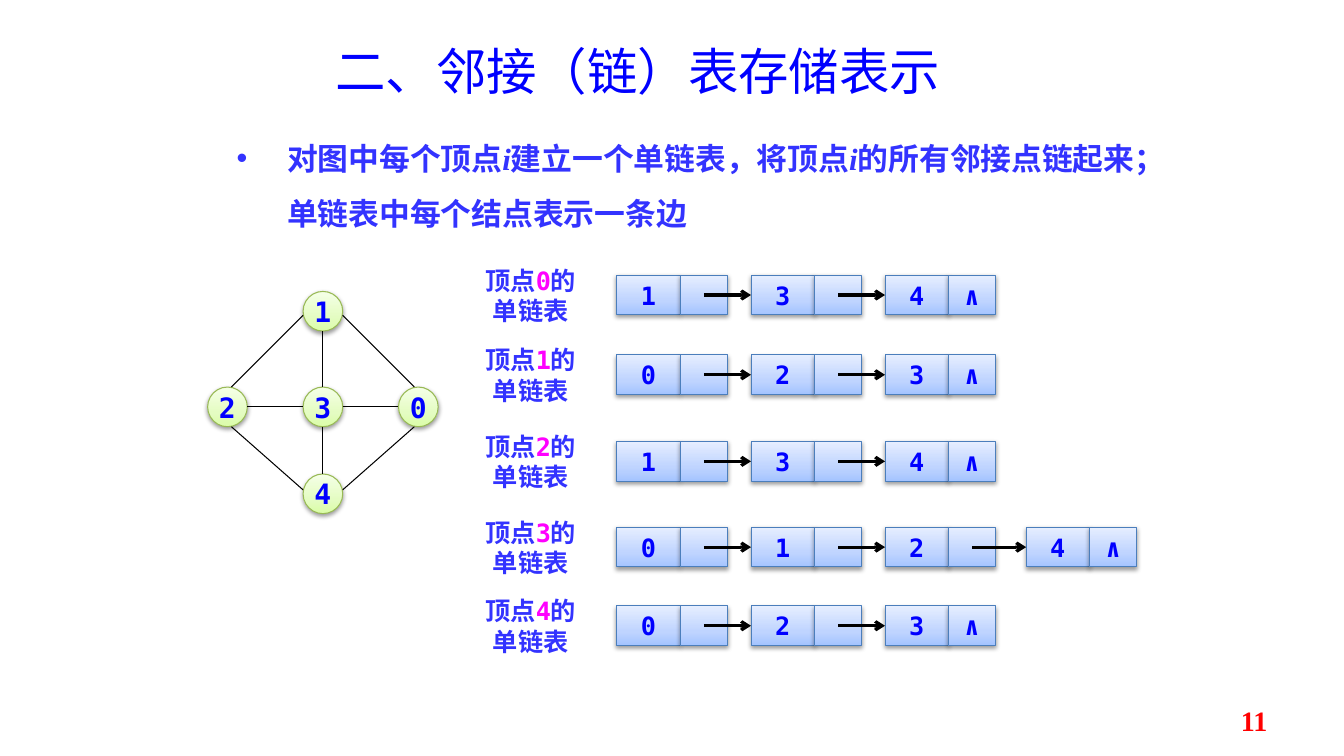
import dataclasses

import pptx
import pptx.dml.color
import pptx.enum.shapes
import pptx.enum.text
import pptx.oxml
import pptx.oxml.ns
import pptx.util
from lxml import etree

ALIGN = pptx.enum.text.PP_ALIGN
ANCHOR = pptx.enum.text.MSO_ANCHOR
AUTO_SIZE = pptx.enum.text.MSO_AUTO_SIZE
SHAPE = pptx.enum.shapes.MSO_SHAPE
qn = pptx.oxml.ns.qn


@dataclasses.dataclass(frozen=True)
class Theme:
    serif: str = "Times New Roman"
    mono: str = "DejaVu Sans Mono"
    blue: str = "0000FF"
    body: str = "3333FF"
    accent: str = "FF00FF"
    number: str = "FF0000"
    edge: str = "000000"
    green_stops: tuple = ((0, "DAFDA7"), (35, "E4FCC2"), (100, "F5FFE7"))
    green_line: str = "98B955"
    blue_stops: tuple = ((0, "A4C4FF"), (35, "BFD4FF"), (100, "E6EEFF"))
    blue_line: str = "4B7EBC"
    title_size: int = 36
    body_size: int = 22
    vertex_size: int = 20
    list_size: int = 18
    thin: float = 0.75
    thick: float = 2.25


THEME = Theme()
WIDTH, HEIGHT = pptx.util.Inches(13.33), pptx.util.Inches(7.5)

# All places and sizes are percentages of the slide's width and height.
DOT = (2.95, 5.25)
VERTICES = {
    "1": (22.55, 38.55),
    "2": (15.45, 51.2),
    "3": (22.55, 51.2),
    "0": (29.65, 51.2),
    "4": (22.55, 62.7),
}
# Each end is a vertex and a point within its dot, as shares of the dot's size.
EDGES = [
    ("1", (0, 0.6), "2", (0.6, 0)),
    ("1", (1, 0.6), "0", (0.4, 0)),
    ("1", (0.5, 1), "3", (0.5, 0)),
    ("2", (1, 0.5), "3", (0, 0.5)),
    ("3", (1, 0.5), "0", (0, 0.5)),
    ("3", (0.5, 1), "4", (0.5, 0)),
    ("2", (0.6, 1), "4", (0, 0.4)),
    ("0", (0.4, 1), "4", (1, 0.4)),
]
NODE_COLUMNS = (45.9, 55.88, 65.85, 76.35)
KEY_WIDTH, POINTER_WIDTH, CELL_HEIGHT = 4.7, 3.55, 5.25
LISTS = [("0", 36.4, "134"), ("1", 46.95, "023"), ("2", 58.4, "134"),
         ("3", 69.75, "0124"), ("4", 80.15, "023")]


def across(percent):
    return round(WIDTH * percent / 100)


def down(percent):
    return round(HEIGHT * percent / 100)


def frame(left, top, width, height):
    return across(left), down(top), across(width), down(height)


def color(value):
    return pptx.dml.color.RGBColor.from_string(value)


def add_span(para, text, size, tint, font, bold=True, italic=False):
    span = para.add_run()
    span.text = text
    span.font.size = pptx.util.Pt(size)
    span.font.name = font
    span.font.bold = bold
    span.font.italic = italic
    span.font.color.rgb = color(tint)


def add_text_box(shapes, place, align, anchor=ANCHOR.TOP):
    """Add a wrapping text box and return its first paragraph."""
    box = shapes.add_textbox(*frame(*place))
    box.text_frame.word_wrap = True
    box.text_frame.vertical_anchor = anchor
    para = box.text_frame.paragraphs[0]
    para.alignment = align
    return para


def add_shaded_shape(shapes, kind, place, stops, outline, text, size):
    """Add a shape with a gradient rising from its foot and a soft shadow."""
    shape = shapes.add_shape(kind, *frame(*place))
    shape.fill.gradient()
    shape.fill.gradient_angle = 90
    stop_list = shape.element.find(".//" + qn("a:gsLst"))
    stop_list.clear()
    for position, tint in stops:
        stop = etree.SubElement(stop_list, qn("a:gs"), pos=str(position * 1000))
        etree.SubElement(stop, qn("a:srgbClr"), val=tint)
    shape.line.color.rgb = color(outline)
    shape.line.width = pptx.util.Pt(THEME.thin)

    shape.shadow.inherit = False
    effects = shape.element.find(".//" + qn("a:effectLst"))
    shadow = etree.SubElement(effects, qn("a:outerShdw"), blurRad="40000",
                              dist="20000", dir="5400000", rotWithShape="0")
    tint = etree.SubElement(shadow, qn("a:srgbClr"), val=THEME.edge)
    etree.SubElement(tint, qn("a:alpha"), val="38000")

    if text:
        shape.text_frame.word_wrap = False
        shape.text_frame.vertical_anchor = ANCHOR.MIDDLE
        para = shape.text_frame.paragraphs[0]
        para.alignment = ALIGN.CENTER
        add_span(para, text, size, THEME.blue, THEME.mono)
    return shape


def add_line(shapes, start, end, width):
    line = shapes.add_connector(
        pptx.enum.shapes.MSO_CONNECTOR.STRAIGHT,
        across(start[0]), down(start[1]), across(end[0]), down(end[1]))
    line.line.color.rgb = color(THEME.edge)
    line.line.width = pptx.util.Pt(width)
    etree.SubElement(line.element.spPr, qn("a:effectLst"))
    return line


def add_title(page):
    title = page.shapes.title
    title.left, title.top, title.width, title.height = frame(16.35, 2.27, 62.2, 10.8)
    title.text_frame.vertical_anchor = ANCHOR.TOP
    title.text_frame.auto_size = AUTO_SIZE.SHAPE_TO_FIT_TEXT
    para = title.text_frame.paragraphs[0]
    para.alignment = ALIGN.CENTER
    para.line_spacing = 1.3
    add_span(para, "二、邻接（链）表存储表示", THEME.title_size, THEME.blue,
             THEME.serif, bold=False)


def add_explanation(page):
    para = add_text_box(page.shapes, (16.88, 15.33, 70.3, 15.2), ALIGN.LEFT)
    para.line_spacing = 1.5
    para.space_before = pptx.util.Pt(6)
    for text in ("对图中每个顶点", "i", "建立一个单链表，将顶点", "i",
                 "的所有邻接点链起来；单链表中每个结点表示一条边"):
        add_span(para, text, THEME.body_size, THEME.body, THEME.serif,
                 italic=text == "i")
    settings = para.runs[0].font and para.line_spacing and para._p.get_or_add_pPr()
    indent = pptx.util.Inches(0.5)
    settings.set("marL", str(indent))
    settings.set("indent", str(-indent))
    etree.SubElement(settings, qn("a:buFont"), typeface="Arial")
    etree.SubElement(settings, qn("a:buChar"), char="•")


def add_graph(page):
    shapes = page.shapes.add_group_shape().shapes
    for name, corner in VERTICES.items():
        add_shaded_shape(shapes, SHAPE.OVAL, corner + DOT, THEME.green_stops,
                         THEME.green_line, name, THEME.vertex_size)

    def point(name, share):
        return [corner + part * size
                for corner, part, size in zip(VERTICES[name], share, DOT)]

    for first, leave, second, reach in EDGES:
        add_line(shapes, point(first, leave), point(second, reach), THEME.thin)


def add_linked_list(page, vertex, top, keys):
    shapes = page.shapes.add_group_shape().shapes
    middle = top + CELL_HEIGHT / 2

    def add_cell(left, width, text):
        return add_shaded_shape(shapes, SHAPE.RECTANGLE, (left, top, width, CELL_HEIGHT),
                                THEME.blue_stops, THEME.blue_line, text, THEME.list_size)

    key_cells = []
    for index, (left, key) in enumerate(zip(NODE_COLUMNS, keys)):
        key_cells.append(add_cell(left, KEY_WIDTH, key))
        is_last = index == len(keys) - 1
        add_cell(left + KEY_WIDTH, POINTER_WIDTH, "∧" if is_last else "")

    for left, following, target in zip(NODE_COLUMNS, NODE_COLUMNS[1:], key_cells[1:]):
        start = left + KEY_WIDTH + POINTER_WIDTH / 2
        arrow = add_line(shapes, (start, middle), (following, middle), THEME.thick)
        arrow.end_connect(target, 1)
        etree.SubElement(arrow.element.find(".//" + qn("a:ln")), qn("a:tailEnd"),
                         type="arrow")

    para = add_text_box(shapes, (34.8, top - 2, 9.38, 9.45), ALIGN.CENTER)
    for text, tint in (("顶点", THEME.body), (vertex, THEME.accent),
                       ("的单链表", THEME.body)):
        add_span(para, text, THEME.list_size, tint, THEME.mono)


def add_page_number(page):
    para = add_text_box(page.shapes, (71.7, 92.67, 23.33, 5.33), ALIGN.RIGHT,
                        ANCHOR.MIDDLE)
    add_span(para, "11", THEME.vertex_size, THEME.number, THEME.serif)


def main():
    deck = pptx.Presentation()
    deck.slide_width, deck.slide_height = WIDTH, HEIGHT
    page = deck.slides.add_slide(deck.slide_layouts[5])
    add_title(page)
    add_explanation(page)
    add_graph(page)
    for vertex, top, keys in LISTS:
        add_linked_list(page, vertex, top, keys)
    add_page_number(page)
    deck.save("out.pptx")


if __name__ == "__main__":
    main()
